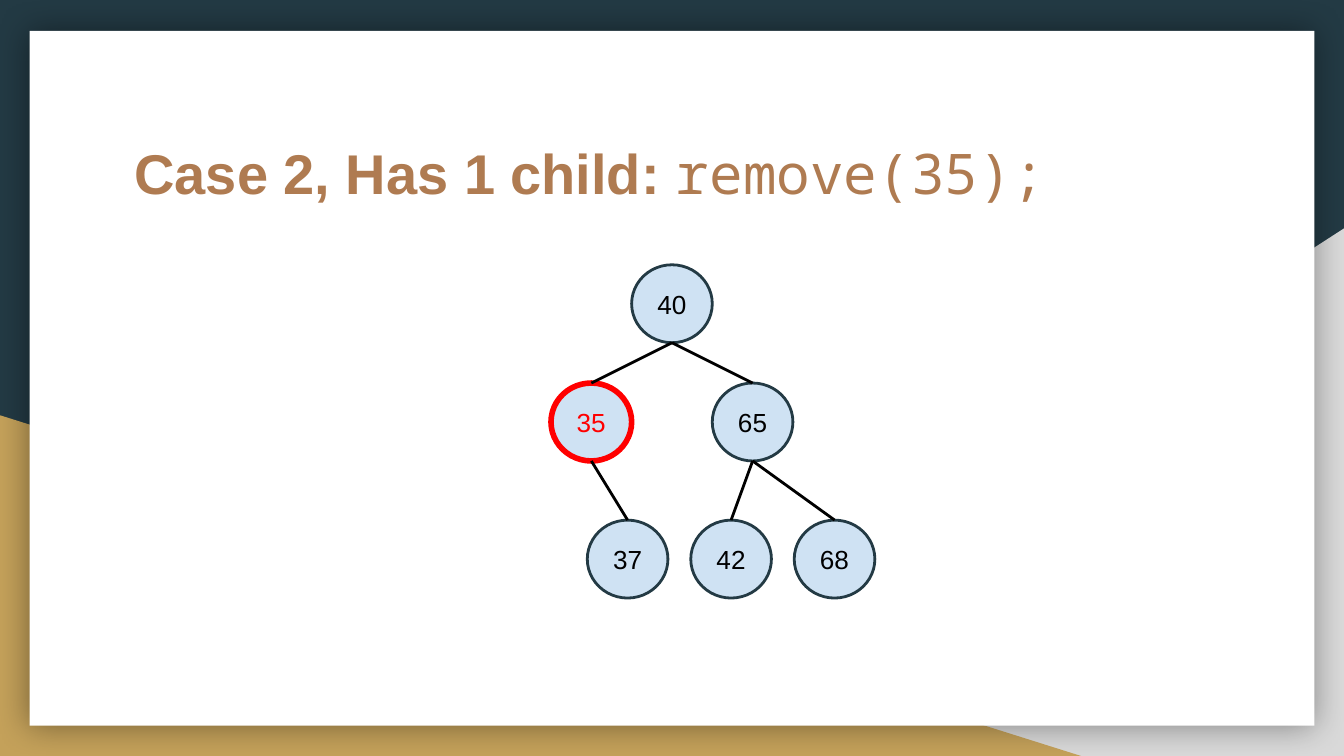
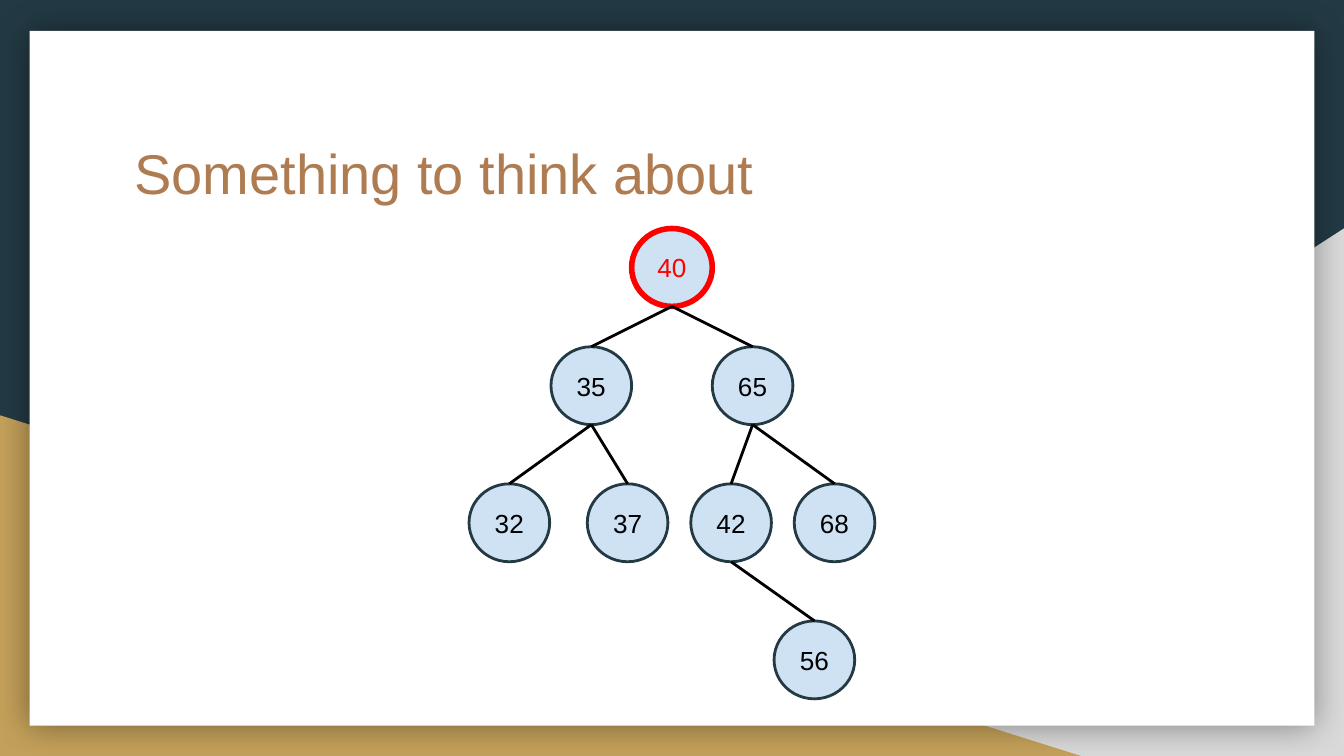
"""Build two slides about removing nodes from a binary search tree."""
from dataclasses import dataclass
from typing import Any

from lxml.etree import SubElement
from pptx import Presentation
from pptx.dml.color import RGBColor
from pptx.enum.shapes import MSO_CONNECTOR, MSO_SHAPE
from pptx.enum.text import MSO_ANCHOR, PP_ALIGN
from pptx.oxml.ns import qn
from pptx.util import Inches, Pt

HUES = {
    "navy": "233A44", "gray": "D9D9D9", "gold": "C4A15A", "white": "FFFFFF",
    "brown": "AF7B51", "sky": "CFE2F3", "red": "FF0000", "black": "000000",
}
SIZE = {"slide_width": Inches(10), "slide_height": Inches(10) * 9 // 16}
WIDE, HIGH = 0.6, 0.58
TIERS = (0, 0.88, 1.9, 2.92)
PADS = {f"margin_{side}": Inches(0.1) for side in ("left", "top", "right", "bottom")}
HEAD = {"name": "Arial", "size": Pt(30), "bold": False}
BOLD = {**HEAD, "bold": True}
CODE = {**HEAD, "name": "Noto Sans Mono"}
LABEL = {"name": "Arial", "size": Pt(14), "bold": False}
PLACE = {"left": Inches(0.9), "top": Inches(0.92),
         "width": Inches(8.21), "height": Inches(1.04)}


@dataclass(frozen=True)
class Panel:
    """A filled part of the shared frame."""
    kind: MSO_SHAPE
    left: float
    top: float
    width: float
    height: float
    hue: str
    flip: bool = False
    glow: bool = False


@dataclass(frozen=True)
class Node:
    """A tree node with its centre line, tier and parent key."""
    key: int
    mid: float
    tier: int
    root: int | None = None


@dataclass(frozen=True)
class Page:
    """A slide with title runs, tree top, marked key and nodes."""
    title: tuple[tuple[str, dict], ...]
    top: float
    mark: int
    nodes: tuple[Node, ...]


PANELS = (
    Panel(MSO_SHAPE.RIGHT_TRIANGLE, 3.92, 1.7, 6.08, 3.93, "gray", flip=True),
    Panel(MSO_SHAPE.RIGHT_TRIANGLE, 0, 3.09, 8.06, 2.54, "gold"),
    Panel(MSO_SHAPE.RECTANGLE, 0.22, 0.23, 9.56, 5.17, "white", glow=True),
)
TREE = (
    Node(40, 5, 0),
    Node(35, 4.4, 1, 40), Node(65, 5.6, 1, 40),
    Node(37, 4.67, 2, 35), Node(42, 5.44, 2, 65), Node(68, 6.21, 2, 65),
)
PAGES = (
    Page((("Case 2, Has 1 child: ", BOLD), ("remove(35);", CODE)), 1.97, 35, TREE),
    Page((("Something to think about", HEAD),), 1.7, 40,
         TREE + (Node(32, 3.79, 2, 35), Node(56, 6.06, 3, 42))),
)


def tint(name: str) -> RGBColor:
    """Return a named colour."""
    return RGBColor.from_string(HUES[name])


def apply(item: Any, style: dict) -> None:
    """Set each format value on an item."""
    for name, value in style.items():
        setattr(item, name, value)


def fill(item: Any, hue: str) -> None:
    """Give an item a solid fill."""
    item.fill.solid()
    item.fill.fore_color.rgb = tint(hue)


def write(para: Any, text: str, style: dict, hue: str) -> None:
    """Add a styled run to a paragraph."""
    run = para.add_run()
    run.text = text
    apply(run.font, style)
    run.font.color.rgb = tint(hue)


def shade(shape: Any) -> None:
    """Give a shape a soft even shadow."""
    soft = shape.element.spPr.find(qn("a:effectLst"))
    outer = SubElement(soft, qn("a:outerShdw"), blurRad=str(Pt(18)), dist="0",
                       dir="0", algn="ctr", rotWithShape="0")
    color = SubElement(outer, qn("a:srgbClr"), val=HUES["black"])
    SubElement(color, qn("a:alpha"), val="40000")


def frame(slide: Any, layout: Any) -> None:
    """Put the shared backdrop and panels on the layout."""
    fill(layout.background, "navy")
    for part in PANELS:
        box = map(Inches, (part.left, part.top, part.width, part.height))
        shape = slide.shapes.add_shape(part.kind, *box)
        shape.shadow.inherit = False
        fill(shape, part.hue)
        shape.line.fill.background()
        if part.flip:
            shape.element.spPr.xfrm.set("flipH", "1")
        if part.glow:
            shade(shape)
        layout.shapes.element.append(shape.element)


def head(slide: Any, runs: tuple[tuple[str, dict], ...]) -> None:
    """Place and fill the title."""
    title = slide.shapes.title
    apply(title, PLACE)
    apply(title.text_frame, {**PADS, "vertical_anchor": MSO_ANCHOR.TOP, "word_wrap": True})
    para = title.text_frame.paragraphs[0]
    apply(para, {"alignment": PP_ALIGN.LEFT, "line_spacing": Pt(36.5)})
    for text, style in runs:
        write(para, text, style, "brown")


def disc(slide: Any, node: Node, top: float, hot: bool) -> Any:
    """Draw one tree node."""
    box = map(Inches, (node.mid - WIDE / 2, top + TIERS[node.tier], WIDE, HIGH))
    shape = slide.shapes.add_shape(MSO_SHAPE.OVAL, *box)
    shape.shadow.inherit = False
    fill(shape, "sky")
    shape.line.color.rgb = tint("red" if hot else "navy")
    shape.line.width = Pt(3 if hot else 1.5)
    apply(shape.text_frame,
          {**PADS, "vertical_anchor": MSO_ANCHOR.MIDDLE, "word_wrap": False})
    para = shape.text_frame.paragraphs[0]
    para.alignment = PP_ALIGN.CENTER
    write(para, str(node.key), LABEL, "red" if hot else "black")
    return shape


def link(slide: Any, root: Any, child: Any) -> None:
    """Join the foot of a parent to the top of its child."""
    line = slide.shapes.add_connector(
        MSO_CONNECTOR.STRAIGHT, root.left + root.width // 2, root.top + root.height,
        child.left + child.width // 2, child.top)
    line.end_connect(child, 0)
    line.line.color.rgb = tint("black")
    line.line.width = Pt(1.5)
    SubElement(line.element.spPr, qn("a:effectLst"))


def plant(slide: Any, page: Page) -> None:
    """Draw the nodes of a tree, then its links."""
    discs = {node.key: disc(slide, node, page.top, node.key == page.mark)
             for node in page.nodes}
    for node in page.nodes:
        if node.root is not None:
            link(slide, discs[node.root], discs[node.key])


def main() -> None:
    """Build and save the deck."""
    deck = Presentation()
    apply(deck, SIZE)
    layout = deck.slide_layouts.get_by_name("Title Only")
    slides = [deck.slides.add_slide(layout) for _ in PAGES]
    frame(slides[0], layout)
    for slide, page in zip(slides, PAGES):
        head(slide, page.title)
        plant(slide, page)
    deck.save("out.pptx")


if __name__ == "__main__":
    main()
